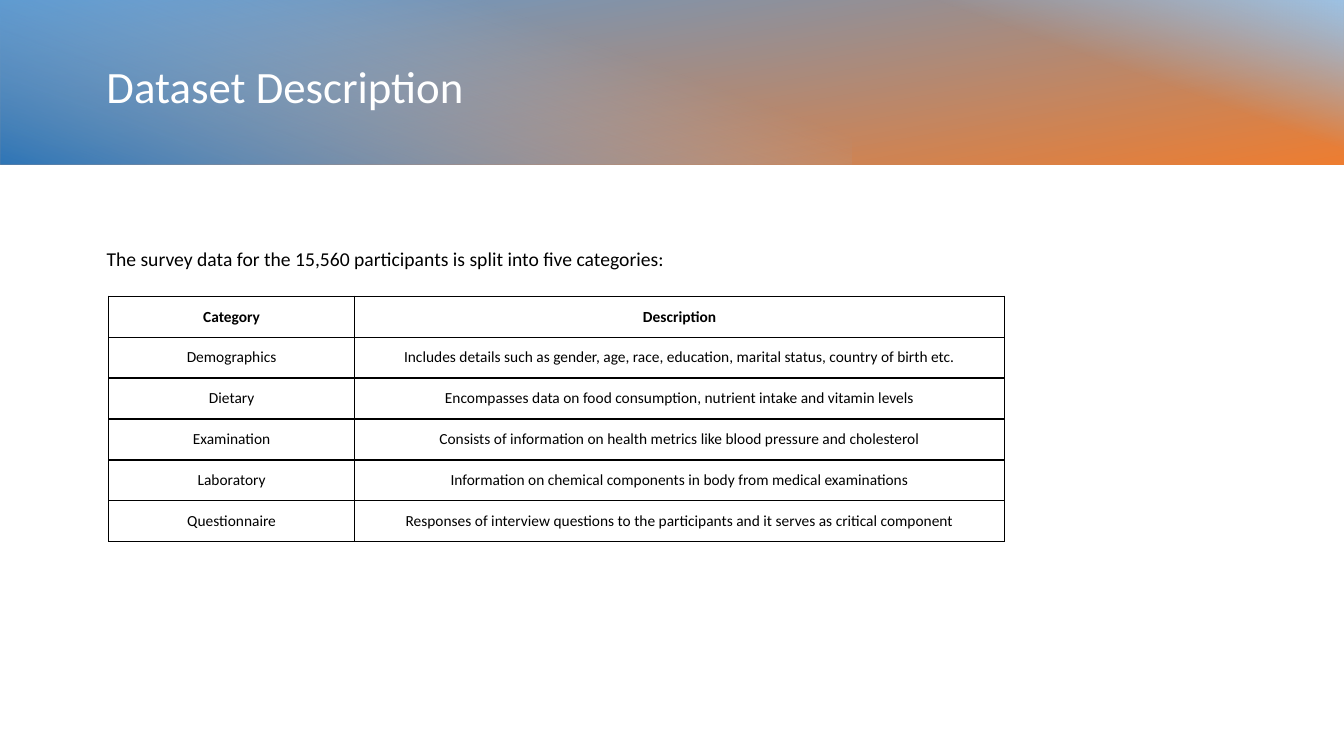
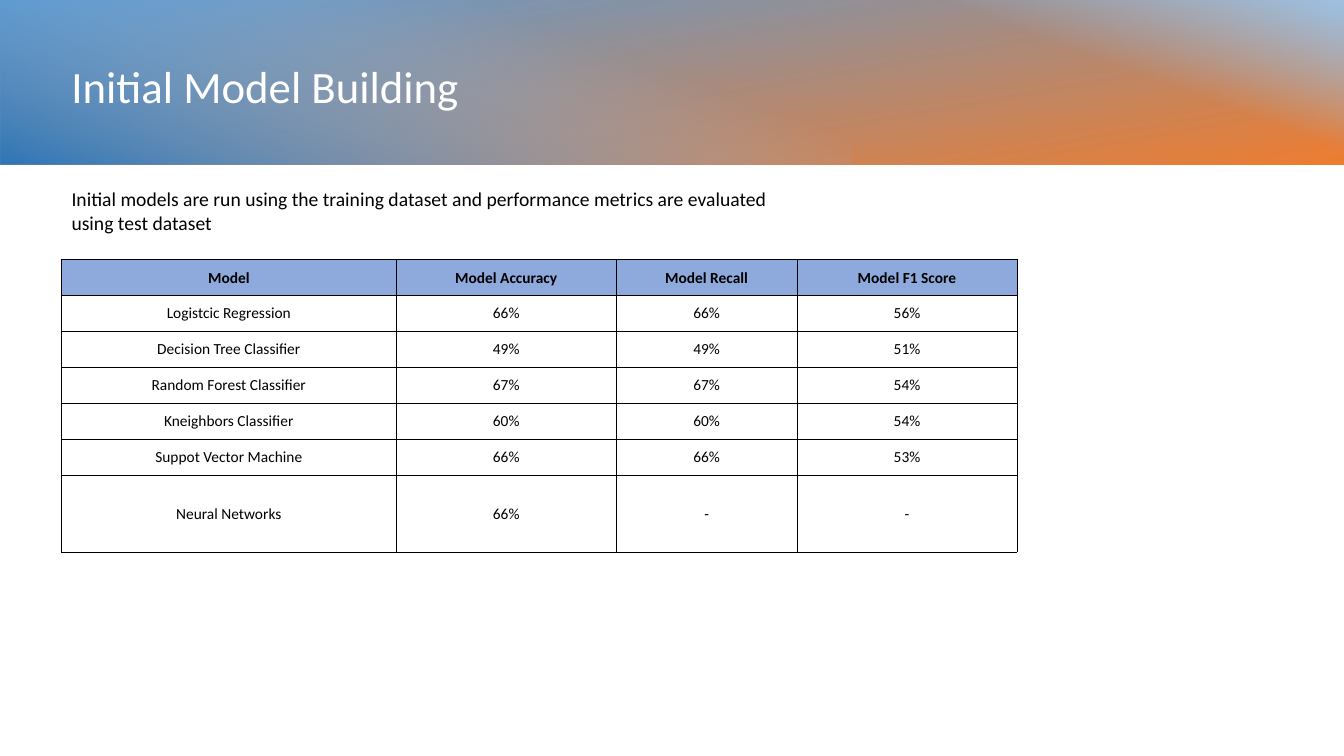
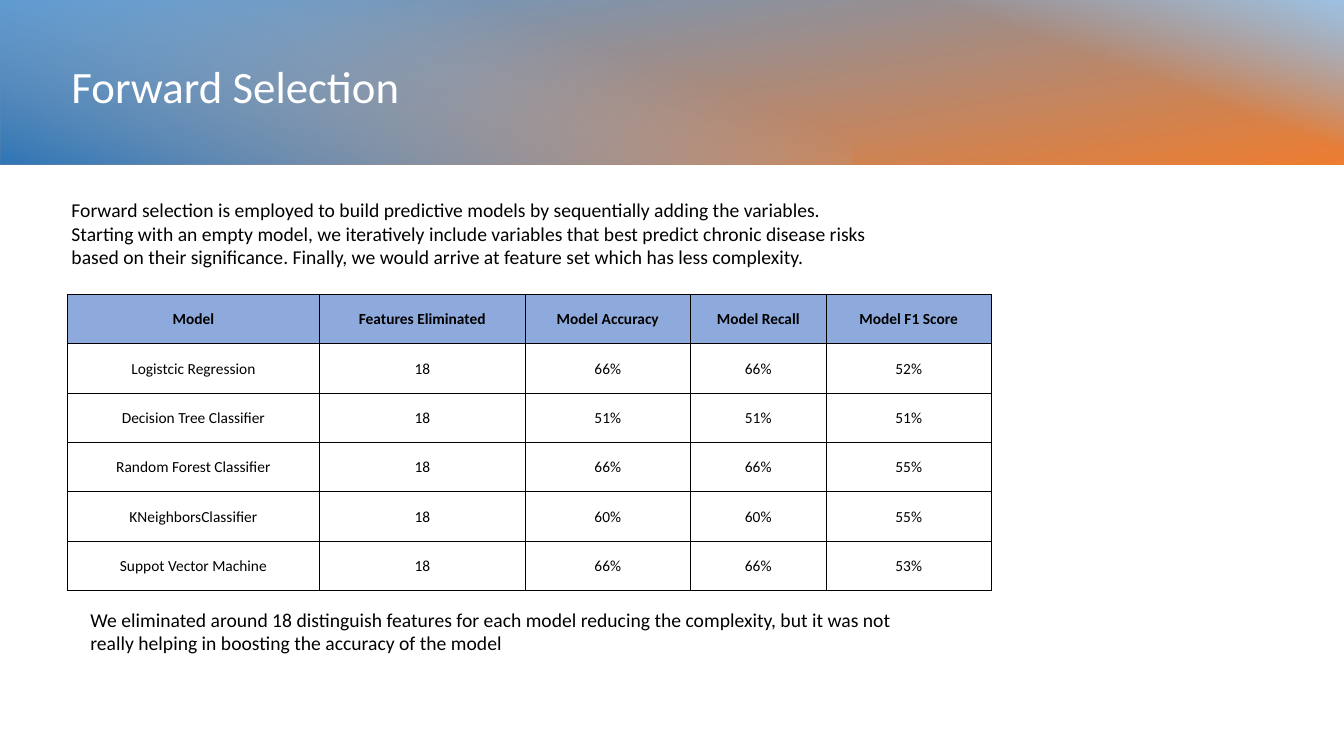
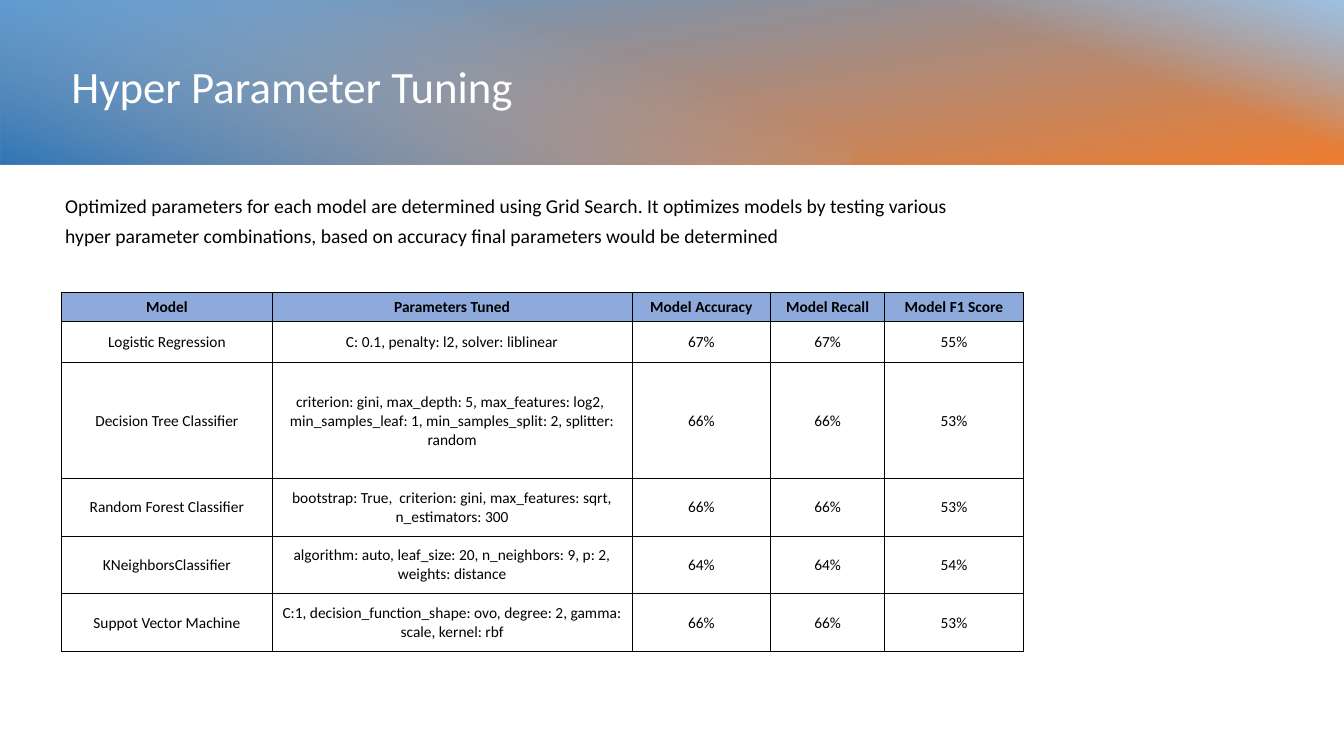
import dataclasses

import pptx
import pptx.dml.color
import pptx.enum.shapes
import pptx.enum.text
import pptx.oxml
import pptx.oxml.ns
import pptx.util

Pt = pptx.util.Pt
ALIGN = pptx.enum.text.PP_ALIGN
ANCHOR = pptx.enum.text.MSO_ANCHOR


@dataclasses.dataclass(frozen=True)
class Theme:
    font: str = "Calibri"
    ink: str = "000000"
    white: str = "FFFFFF"
    head: str = "8EA9DB"
    blue: str = "5B9BD5"
    orange: str = "ED7D31"
    sky: str = "9DC3E6"
    deep: str = "2E75B6"
    title: int = 32
    body: int = 14
    cell: int = 11


THEME = Theme()
WIDE, HIGH = 960, 540
BAND = (0, -2, WIDE, 119.5)


def color(code):
    return pptx.dml.color.RGBColor.from_string(code)


def write(frame, text, size=THEME.body, ink=THEME.ink, bold=False,
          align=ALIGN.LEFT, space=None):
    """Put formatted text in a frame's first paragraph."""
    para = frame.paragraphs[0]
    para.text = text
    para.alignment = align
    if space:
        para.line_spacing = space
    for run in para.runs:
        font = run.font
        font.name, font.size, font.bold = THEME.font, Pt(size), bold
        font.color.rgb = color(ink)


def label(slide, box, text, anchor=ANCHOR.TOP, **style):
    """Add a wrapping text box."""
    frame = slide.shapes.add_textbox(*map(Pt, box)).text_frame
    frame.word_wrap = True
    frame.vertical_anchor = anchor
    write(frame, text, **style)


def layer(slide, box, turn, angle, stops, clear=False):
    """Add a turned gradient strip; clear makes its first stop transparent."""
    left, top, width, height = box
    shape = slide.shapes.add_shape(
        pptx.enum.shapes.MSO_SHAPE.RECTANGLE,
        Pt(left + (width - height) / 2), Pt(top + (height - width) / 2),
        Pt(height), Pt(width))
    shape.rotation = turn
    shape.shadow.inherit = False
    shape.line.fill.background()
    shape.fill.gradient()
    shape.fill.gradient_angle = 360 - angle
    for stop, (place, code) in zip(shape.fill.gradient_stops, stops):
        stop.position = place
        stop.color.rgb = color(code)
    if clear:
        first = shape._element.spPr.xpath(".//a:srgbClr")[0]
        first.append(pptx.oxml.parse_xml(
            f'<a:alpha {pptx.oxml.ns.nsdecls("a")} val="0"/>'))


def header(slide, box, title, left):
    """Draw the gradient band and its title."""
    x, y, width, height = box
    layer(slide, box, 270, 170, [(0, THEME.blue), (1, THEME.orange)])
    layer(slide, (x + 561, y, width - 561, height), 270, 20,
          [(0.59, THEME.sky), (1, THEME.sky)], clear=True)
    layer(slide, (x, y, 608, height), 90, 20,
          [(0.29, THEME.sky), (1, THEME.deep)], clear=True)
    label(slide, (x + left, y + 26, 825, 79), title, ANCHOR.MIDDLE,
          size=THEME.title, ink=THEME.white, space=0.9)


def border(cell, weight):
    """Outline a cell on all four sides."""
    props = cell._tc.get_or_add_tcPr()
    for spot, side in enumerate("LRTB"):
        props.insert(spot, pptx.oxml.parse_xml(
            f'<a:ln{side} {pptx.oxml.ns.nsdecls("a")} w="{Pt(weight)}">'
            f'<a:solidFill><a:srgbClr val="{THEME.ink}"/></a:solidFill>'
            f'</a:ln{side}>'))


def grid(slide, spot, cols, rows, data, weight=0.5, head=THEME.head,
         tight=True):
    """Add a bordered table whose first row is the heading."""
    size = (sum(cols), sum(rows))
    table = slide.shapes.add_table(
        len(rows), len(cols), *map(Pt, spot + size)).table
    table.horz_banding = table.first_row = False
    for col, width in zip(table.columns, cols):
        col.width = Pt(width)
    for row, height in zip(table.rows, rows):
        row.height = Pt(height)
    for r, line in enumerate(data):
        for c, text in enumerate(line):
            cell = table.cell(r, c)
            cell.vertical_anchor = ANCHOR.MIDDLE
            if tight:
                cell.margin_left = cell.margin_right = Pt(0.72)
                cell.margin_top, cell.margin_bottom = Pt(0.72), 0
            write(cell.text_frame, text, size=THEME.cell, bold=r == 0,
                  align=ALIGN.CENTER)
            if r == 0 and head:
                cell.fill.solid()
                cell.fill.fore_color.rgb = color(head)
            else:
                cell.fill.background()
            border(cell, weight)


def page(deck, title, left=44):
    """Start a slide with the shared header."""
    slide = deck.slides.add_slide(deck.slide_layouts[6])
    header(slide, BAND, title, left)
    return slide


SCORES = ["Model Accuracy", "Model Recall", "Model F1 Score"]


def dataset(deck):
    slide = page(deck, "Dataset Description", left=69)
    label(slide, (69, 175, 716, 25),
          "The survey data for the 15,560 participants is split into "
          "five categories:", space=0.9)
    grid(slide, (77.6, 211.6), [175.7, 464.3], [29.25] * 6, [
        ["Category", "Description"],
        ["Demographics", "Includes details such as gender, age, race, "
         "education, marital status, country of birth etc."],
        ["Dietary", "Encompasses data on food consumption, nutrient intake "
         "and vitamin levels"],
        ["Examination", "Consists of information on health metrics like "
         "blood pressure and cholesterol"],
        ["Laboratory", "Information on chemical components in body from "
         "medical examinations"],
        ["Questionnaire", "Responses of interview questions to the "
         "participants and it serves as critical component"],
    ], weight=1, head=None, tight=False)


def initial(deck):
    slide = page(deck, "Initial Model Building")
    grid(slide, (44, 185.2), [239, 157.3, 129, 157.3], [25.7] * 6 + [55], [
        ["Model", *SCORES],
        ["Logistcic Regression", "66%", "66%", "56%"],
        ["Decision Tree Classifier", "49%", "49%", "51%"],
        ["Random Forest Classifier", "67%", "67%", "54%"],
        ["Kneighbors Classifier", "60%", "60%", "54%"],
        ["Suppot Vector Machine", "66%", "66%", "53%"],
        ["Neural Networks", "66%", "-", "-"],
    ])
    label(slide, (44, 130.3, 533.5, 41),
          "Initial models are run using the training dataset and "
          "performance metrics are evaluated using test dataset")


def forward(deck):
    slide = page(deck, "Forward Selection")
    grid(slide, (48.2, 210.2), [180, 147, 118, 97, 118], [35.25] * 6, [
        ["Model", "Features Eliminated", *SCORES],
        ["Logistcic Regression", "18", "66%", "66%", "52%"],
        ["Decision Tree Classifier", "18", "51%", "51%", "51%"],
        ["Random Forest Classifier", "18", "66%", "66%", "55%"],
        ["KNeighborsClassifier", "18", "60%", "60%", "55%"],
        ["Suppot Vector Machine", "18", "66%", "66%", "53%"],
    ])
    label(slide, (44, 138, 592, 58),
          "Forward selection is employed to build predictive models by "
          "sequentially adding the variables. Starting with an empty model, "
          "we iteratively include variables that best predict chronic "
          "disease risks based on their significance. Finally, we would "
          "arrive at feature set which has less complexity.")
    label(slide, (57.5, 430.5, 592, 41),
          "We eliminated around 18 distinguish features for each model "
          "reducing the complexity, but it was not really helping in "
          "boosting the accuracy of the model")


def tuning(deck):
    slide = page(deck, "Hyper Parameter Tuning")
    grid(slide, (44, 208.8), [150.5, 257, 99, 81.5, 99],
         [20.7, 29.3, 82.8, 41.2, 41.2, 41.2], [
        ["Model", "Parameters Tuned", *SCORES],
        ["Logistic Regression", "C: 0.1, penalty: l2, solver: liblinear",
         "67%", "67%", "55%"],
        ["Decision Tree Classifier",
         "criterion: gini, max_depth: 5, max_features: log2, \v"
         "min_samples_leaf: 1, min_samples_split: 2, splitter: random",
         "66%", "66%", "53%"],
        ["Random Forest Classifier",
         "bootstrap: True,  criterion: gini, max_features: sqrt, "
         "n_estimators: 300", "66%", "66%", "53%"],
        ["KNeighborsClassifier",
         "algorithm: auto, leaf_size: 20, n_neighbors: 9, p: 2, "
         "weights: distance", "64%", "64%", "54%"],
        ["Suppot Vector Machine",
         "C:1, decision_function_shape: ovo, degree: 2, gamma: scale, "
         "kernel: rbf", "66%", "66%", "53%"],
    ])
    label(slide, (39.5, 131, 678, 50),
          "Optimized parameters for each model are determined using Grid "
          "Search. It optimizes models by testing various hyper parameter "
          "combinations, based on accuracy final parameters would be "
          "determined", space=Pt(21))


def main():
    deck = pptx.Presentation()
    deck.slide_width, deck.slide_height = Pt(WIDE), Pt(HIGH)
    for build in (dataset, initial, forward, tuning):
        build(deck)
    deck.save("out.pptx")


if __name__ == "__main__":
    main()
